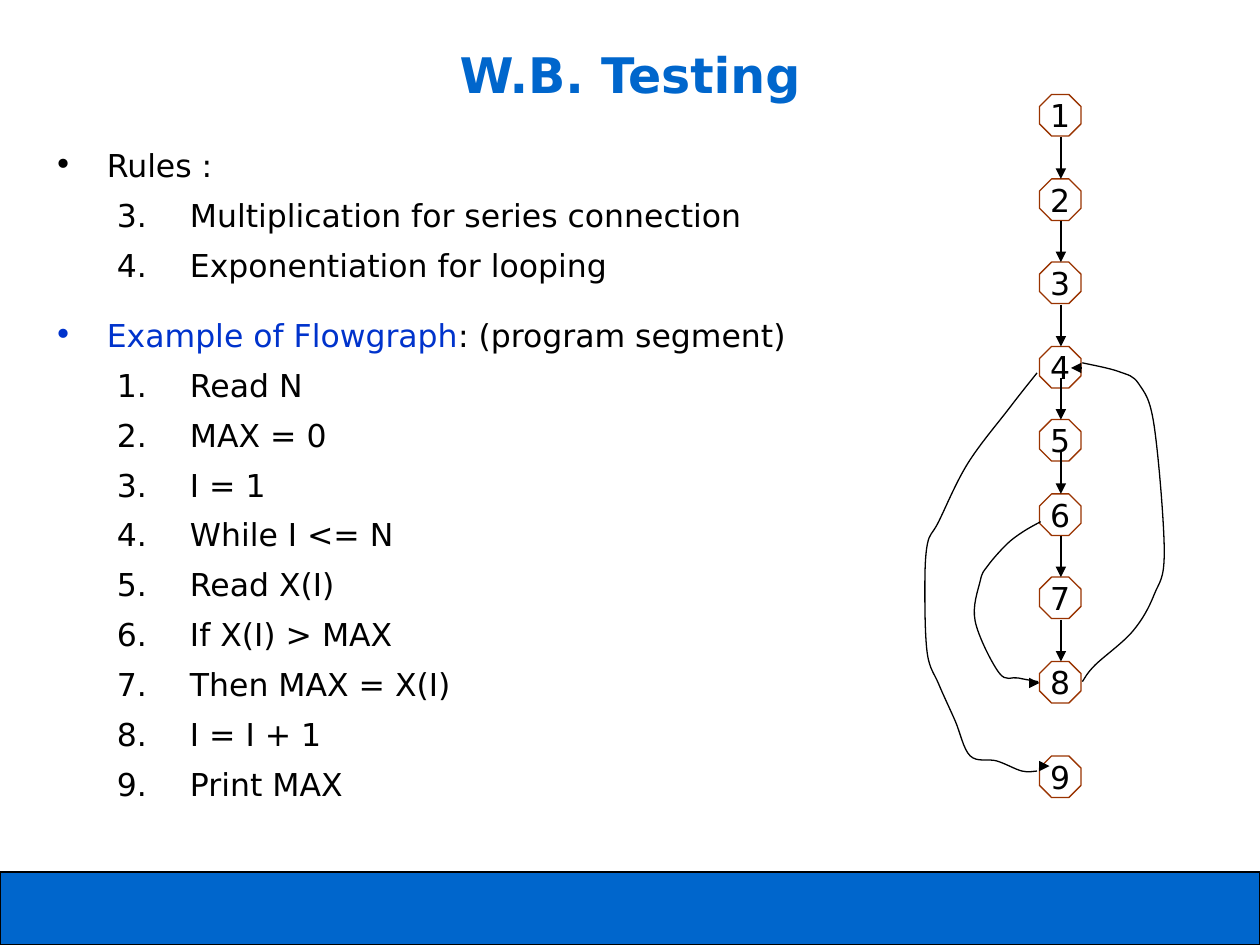
from lxml import etree
from pptx import Presentation
from pptx.dml.color import RGBColor
from pptx.enum.shapes import MSO_CONNECTOR, MSO_SHAPE
from pptx.enum.text import MSO_ANCHOR, MSO_AUTO_SIZE, PP_ALIGN
from pptx.oxml.ns import qn
from pptx.util import Inches, Pt

BLACK = RGBColor(0x00, 0x00, 0x00)
WHITE = RGBColor(0xFF, 0xFF, 0xFF)
BLUE = RGBColor(0x00, 0x66, 0xCC)
LINK_BLUE = RGBColor(0x00, 0x33, 0xCC)
BROWN = RGBColor(0x99, 0x33, 0x00)
OCTAGON, RECTANGLE = MSO_SHAPE.OCTAGON, MSO_SHAPE.RECTANGLE
STRAIGHT = MSO_CONNECTOR.STRAIGHT
CENTER = PP_ALIGN.CENTER
TOP, MIDDLE = MSO_ANCHOR.TOP, MSO_ANCHOR.MIDDLE
NO_AUTOFIT = MSO_AUTO_SIZE.NONE
FONT = "DejaVu Sans"
LINE_WIDTH = Pt(0.74)


def format_runs(paragraph, size, color, bold=False):
    for run in paragraph.runs:
        run.font.name = FONT
        run.font.size = Pt(size)
        run.font.bold = bold
        run.font.color.rgb = color


def format_paragraph(paragraph, margin, indent, before):
    paragraph.space_before = Pt(before)
    paragraph.space_after = Pt(5.6)
    properties = paragraph._p.get_or_add_pPr()
    properties.set("marL", str(Inches(margin)))
    properties.set("indent", str(Inches(indent)))
    return properties


presentation = Presentation()
presentation.slide_width = Inches(10)
presentation.slide_height = Inches(7.5)
slide = presentation.slides.add_slide(presentation.slide_layouts[5])
shapes = slide.shapes

# Title
title = shapes.title
title.left, title.top = Inches(0.5), Inches(0.3)
title.width, title.height = Inches(9), Inches(1.25)
title.text_frame.text = "W.B. Testing"
title.text_frame.vertical_anchor = TOP
title.text_frame.auto_size = NO_AUTOFIT
title.text_frame.paragraphs[0].alignment = CENTER
format_runs(title.text_frame.paragraphs[0], 28, BLUE, bold=True)

# Footer bar
bar = shapes.add_shape(RECTANGLE, 0, Inches(6.92), Inches(10), Inches(0.58))
bar.shadow.inherit = False
bar.fill.solid()
bar.fill.fore_color.rgb = BLUE
bar.line.color.rgb = BLACK
bar.line.width = LINE_WIDTH

# Rules and program segment: heading, heading colour, first number, items
SECTIONS = [
    (["Rules :"], BLACK, 3,
     ["Multiplication for series connection", "Exponentiation for looping"]),
    (["Example of Flowgraph", ": (program segment)"], LINK_BLUE, 1,
     ["Read N", "MAX = 0", "I = 1", "While I <= N", "Read X(I)",
      "If X(I) > MAX", "Then MAX = X(I)", "I = I + 1", "Print MAX"]),
]
body = shapes.add_textbox(Inches(0.33), Inches(1.17), Inches(9.33), Inches(5.58))
text_frame = body.text_frame
text_frame.word_wrap = True
paragraph = text_frame.paragraphs[0]
for heading, heading_color, first_number, items in SECTIONS:
    for index, texts in enumerate([heading] + [[item] for item in items]):
        if text_frame.text:
            paragraph = text_frame.add_paragraph()
        for text in texts:
            paragraph.add_run().text = text
        format_runs(paragraph, 18, BLACK)
        paragraph.line_spacing = 0.8
        is_heading = index == 0
        if is_heading:
            paragraph.runs[0].font.color.rgb = heading_color
            properties = format_paragraph(paragraph, 0.42, -0.42, 16.9)
        else:
            paragraph.level = 1
            properties = format_paragraph(paragraph, 1.08, -0.58, 5.6)
        bullet_color = etree.SubElement(properties, qn("a:buClr"))
        etree.SubElement(bullet_color, qn("a:srgbClr"),
                         val=str(heading_color if is_heading else BLACK))
        etree.SubElement(properties, qn("a:buFont"), typeface=FONT)
        if is_heading:
            etree.SubElement(properties, qn("a:buChar"), char="•")
        else:
            etree.SubElement(properties, qn("a:buAutoNum"), type="arabicPeriod",
                             startAt=str(first_number))

# Flowgraph nodes
NODE_TOPS = [0.75, 1.42, 2.08, 2.75, 3.33, 3.92, 4.58, 5.25, 6]
for number, top in enumerate(NODE_TOPS, start=1):
    node = shapes.add_shape(OCTAGON, Inches(8.25), Inches(top), Inches(0.33), Inches(0.33))
    node.shadow.inherit = False
    node.fill.solid()
    node.fill.fore_color.rgb = WHITE
    node.line.color.rgb = BROWN
    node.line.width = LINE_WIDTH
    node.text_frame.word_wrap = False
    node.text_frame.vertical_anchor = MIDDLE
    node.text_frame.text = str(number)
    paragraph = node.text_frame.paragraphs[0]
    paragraph.alignment = CENTER
    format_paragraph(paragraph, 0.38, -0.38, 16.9)
    format_runs(paragraph, 18, BLACK)

# Straight arrows into nodes 2 to 8, then the arrowheads that end the loops
arrows = [(8.42, top - 0.33, 8.42, top) for top in NODE_TOPS[1:8]]
arrows += [(8.17, 5.42, 8.25, 5.42), (8.58, 2.92, 8.5, 2.92), (8.25, 6.08, 8.33, 6.08)]
for ends in arrows:
    arrow = shapes.add_connector(STRAIGHT, *[Inches(value) for value in ends])
    arrow.line.color.rgb = BLACK
    arrow.line.width = LINE_WIDTH
    etree.SubElement(arrow.line._get_or_add_ln(), qn("a:tailEnd"), type="triangle")
    etree.SubElement(arrow._element.spPr, qn("a:effectLst"))

# Loops 4 to 9, 6 to 8 and 8 to 4: the points each curve passes through
LOOPS = [
    [(8.23, 2.96), (8.01, 3.24), (7.68, 3.68), (7.45, 4.14), (7.36, 4.32), (7.34, 4.69),
     (7.36, 5.19), (7.45, 5.43), (7.58, 5.72), (7.7, 6), (7.91, 6.04), (8.11, 6.12),
     (8.23, 6.12)],
    [(8.26, 4.14), (8.12, 4.22), (7.99, 4.32), (7.84, 4.49), (7.78, 4.61), (7.74, 4.93),
     (7.93, 5.34), (8.08, 5.38), (8.24, 5.41)],
    [(8.59, 5.41), (8.69, 5.28), (8.99, 5.01), (9.16, 4.72), (9.24, 4.38), (9.16, 3.38),
     (9.04, 3.05), (8.88, 2.95), (8.59, 2.88)],
]
for points in LOOPS:
    # Smooth control points follow from the neighbours of each pair
    padded = points[:1] + points + points[-1:]
    controls = []
    for before, start, end, after in zip(padded, padded[1:], padded[2:], padded[3:]):
        controls.append([a + (b - c) / 6 for a, b, c in zip(start, end, before)])
        controls.append([a - (b - c) / 6 for a, b, c in zip(end, after, start)])
        controls.append(end)
    builder = shapes.build_freeform(*[Inches(value) for value in points[0]])
    builder.add_line_segments([(Inches(x), Inches(y)) for x, y in controls], close=False)
    loop = builder.convert_to_shape()
    loop.shadow.inherit = False
    loop.fill.background()
    loop.line.color.rgb = BLACK
    loop.line.width = LINE_WIDTH
    # Each three line points become one cubic segment
    segments = list(loop._element.iter(qn("a:lnTo")))
    outline = segments[0].getparent()
    for first in range(0, len(segments), 3):
        cubic = etree.SubElement(outline, qn("a:cubicBezTo"))
        for segment in segments[first:first + 3]:
            cubic.append(segment[0])
            outline.remove(segment)

presentation.save("out.pptx")
